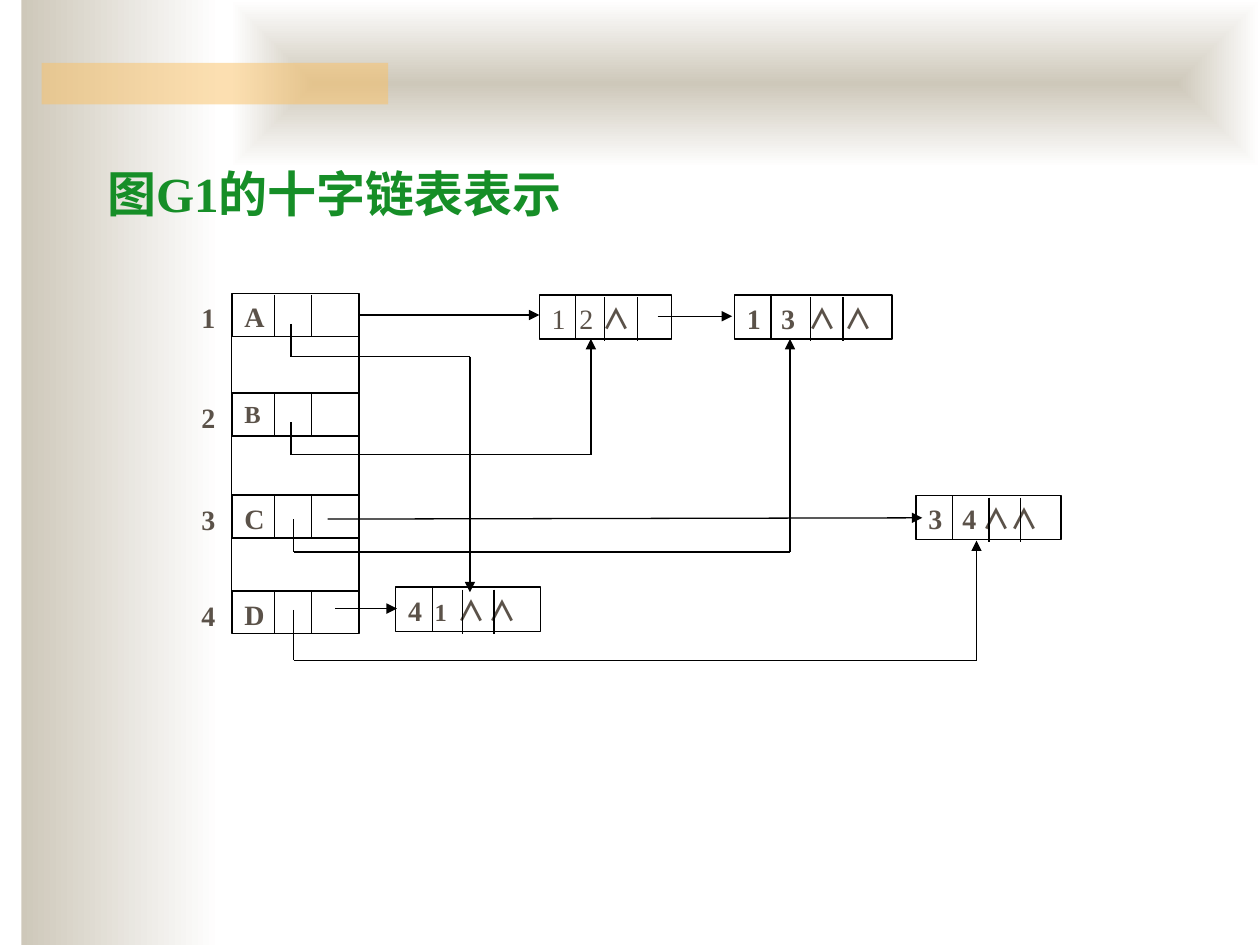
from itertools import pairwise

from lxml.etree import SubElement
from pptx import Presentation
from pptx.dml.color import RGBColor
from pptx.enum.shapes import MSO_CONNECTOR, MSO_SHAPE
from pptx.enum.text import MSO_ANCHOR, MSO_AUTO_SIZE, PP_ALIGN
from pptx.oxml import parse_xml
from pptx.oxml.ns import nsdecls, qn
from pptx.util import Inches, Pt

LATIN = "Times New Roman"
HAN = "Noto Sans CJK SC"
BLACK, WHITE, SAND, AMBER = "000000", "FFFFFF", "CEC8BA", "FAC164"
GREEN, BROWN = "168E27", "5B5249"
COLUMN_LEFT, COLUMN_WIDTH, ROW_HEIGHT = 1.84, 1.01, 0.34
NODE_HEIGHT = 0.35

VERTICES = [("A", 2.33, 16), ("B", 3.12, 14), ("C", 3.93, 16), ("D", 4.69, 16)]

# left, top, width, divider offsets, and (text, size, bold, tab position) per field
ARC_NODES = [
    (4.28, 2.34, 1.05, (0.29, 0.52, 0.78),
     [("1", 16, False, 0), ("2", 16, False, 0.22), ("∧", 16, True, 0.4)]),
    (5.83, 2.34, 1.25, (0.29, 0.6, 0.86),
     [("1", 16, True, 0), ("3", 16, True, 0.27), ("∧", 16, True, 0.49),
      ("∧", 16, True, 0.77)]),
    (3.14, 4.66, 1.15, (0.29, 0.53, 0.78),
     [("4", 16, True, 0), ("1", 14, True, 0.21), ("∧", 16, True, 0.39),
      ("∧", 16, True, 0.64)]),
    (7.27, 3.93, 1.15, (0.29, 0.58, 0.83),
     [("3", 16, True, 0), ("4", 16, True, 0.27), ("∧∧", 16, True, 0.43)]),
]

LINKS = [
    [(2.85, 2.5), (4.28, 2.5)],
    [(5.22, 2.51), (5.81, 2.51)],
    [(2.6, 4.12), (7.32, 4.11)],
    [(2.66, 4.83), (3.15, 4.83)],
    [(2.31, 2.57), (2.31, 2.83), (3.73, 2.83), (3.73, 4.7)],
    [(2.31, 3.35), (2.31, 3.61), (4.69, 3.61), (4.69, 2.69)],
    [(2.33, 4.12), (2.33, 4.38), (6.27, 4.38), (6.27, 2.69)],
    [(2.33, 4.84), (2.33, 5.24), (7.75, 5.24), (7.75, 4.29)],
]


def color(value):
    """Turn a hex string into a colour."""
    return RGBColor.from_string(value)


def add_rectangle(slide, left, top, width, height, fill=WHITE, outline=None):
    """Add a flat rectangle with an optional thin outline."""
    shape = slide.shapes.add_shape(MSO_SHAPE.RECTANGLE, Inches(left), Inches(top),
                                   Inches(width), Inches(height))
    shape.shadow.inherit = False
    shape.fill.solid()
    shape.fill.fore_color.rgb = color(fill)
    if outline:
        shape.line.color.rgb = color(outline)
        shape.line.width = Pt(0.75)
    else:
        shape.line.fill.background()
    return shape


def add_line(slide, start, end, arrow=False):
    """Add a thin black line, with an arrowhead at its end if asked."""
    connector = slide.shapes.add_connector(
        MSO_CONNECTOR.STRAIGHT, *(Inches(value) for value in (*start, *end)))
    connector.line.color.rgb = color(BLACK)
    connector.line.width = Pt(0.75)
    if arrow:
        SubElement(connector.line._get_or_add_ln(), qn("a:tailEnd"), type="triangle")
    SubElement(connector._element.spPr, qn("a:effectLst"))


def add_run(paragraph, text, size, bold=True, ink=BROWN):
    """Add one formatted run to a paragraph."""
    run = paragraph.add_run()
    run.text = text
    run.font.size = Pt(size)
    run.font.bold = bold
    run.font.color.rgb = color(ink)
    run.font.name = HAN if text.startswith("∧") else LATIN
    SubElement(run._r.get_or_add_rPr(), qn("a:ea"), typeface=HAN)


def prepare_text(shape):
    """Set up the text frame of a shape and return its first paragraph."""
    frame = shape.text_frame
    frame.word_wrap = True
    frame.auto_size = MSO_AUTO_SIZE.NONE
    frame.vertical_anchor = MSO_ANCHOR.TOP
    paragraph = frame.paragraphs[0]
    paragraph.alignment = PP_ALIGN.LEFT
    return paragraph


def add_gradient(shape, path=False):
    """Fade a shape from sand to white, sideways or outwards from its centre."""
    fill = shape.fill
    fill.gradient()
    fill.gradient_angle = 0
    for stop, value, position in zip(fill.gradient_stops, (SAND, WHITE), (0, 1)):
        stop.color.rgb = color(value)
        stop.position = position
    if path:
        linear = shape._element.spPr.find(f".//{qn('a:lin')}")
        linear.getparent().replace(linear, parse_xml(
            f'<a:path {nsdecls("a")} path="rect">'
            '<a:fillToRect l="50000" t="50000" r="50000" b="50000"/></a:path>'))


def add_backdrop(slide):
    """Draw the side band, the top band and the translucent bar."""
    add_gradient(add_rectangle(slide, 0.17, 0, 1.58, 7.5))
    add_gradient(add_rectangle(slide, 1.83, 0, 8.17, 1.33), path=True)
    bar = add_rectangle(slide, 0.33, 0.5, 2.75, 0.33, AMBER)
    bar_color = bar._element.spPr.find(f"{qn('a:solidFill')}/{qn('a:srgbClr')}")
    SubElement(bar_color, qn("a:alpha"), val="50000")


def add_title(slide, left, top, width, height):
    """Place the title in front of the backdrop."""
    title = slide.shapes.title
    title.left, title.top = Inches(left), Inches(top)
    title.width, title.height = Inches(width), Inches(height)
    slide.shapes._spTree.append(title._element)
    add_run(prepare_text(title), "图G1的十字链表表示", 28, ink=GREEN)


def add_arc_node(slide, left, top, width, dividers, fields):
    """Draw an arc node whose fields are set on tab stops."""
    shape = add_rectangle(slide, left, top, width, NODE_HEIGHT, outline=BLACK)
    paragraph = prepare_text(shape)
    tabs = SubElement(paragraph._p.get_or_add_pPr(), qn("a:tabLst"))
    for text, size, bold, position in fields:
        if position:
            SubElement(tabs, qn("a:tab"), pos=str(Inches(position)), algn="l")
            add_run(paragraph, "\t", size, bold)
        add_run(paragraph, text, size, bold)
    for index, offset in enumerate(dividers):
        start = top + (0.02 if index else 0)
        add_line(slide, (left + offset, start), (left + offset, start + NODE_HEIGHT))


def add_vertex_column(slide, left, width):
    """Draw the numbered vertex rows and the sides that join them."""
    for number, (name, top, size) in enumerate(VERTICES, 1):
        row = add_rectangle(slide, left, top, width, ROW_HEIGHT, outline=BLACK)
        add_run(prepare_text(row), name, size)
        for offset in (0.34, 0.63):
            add_line(slide, (left + offset, top + 0.01),
                     (left + offset, top + ROW_HEIGHT))
        label = slide.shapes.add_textbox(Inches(left - 0.34), Inches(top + 0.01),
                                         Inches(0.33), Inches(ROW_HEIGHT))
        add_run(prepare_text(label), str(number), 16)
    for (_, upper, _), (_, lower, _) in pairwise(VERTICES):
        for side in (left, left + width):
            add_line(slide, (side, upper + ROW_HEIGHT), (side, lower))


def add_links(slide):
    """Draw each pointer as joined segments ending in an arrow."""
    for points in LINKS:
        segments = list(pairwise(points))
        for start, end in segments:
            add_line(slide, start, end, arrow=end == points[-1])


def main():
    """Build the slide and save it."""
    presentation = Presentation()
    presentation.slide_width, presentation.slide_height = Inches(10), Inches(7.5)
    slide = presentation.slides.add_slide(presentation.slide_layouts[5])
    add_backdrop(slide)
    add_title(slide, 0.75, 1.25, 8.92, 0.57)
    for node in ARC_NODES:
        add_arc_node(slide, *node)
    add_vertex_column(slide, COLUMN_LEFT, COLUMN_WIDTH)
    add_links(slide)
    presentation.save("out.pptx")


if __name__ == "__main__":
    main()
